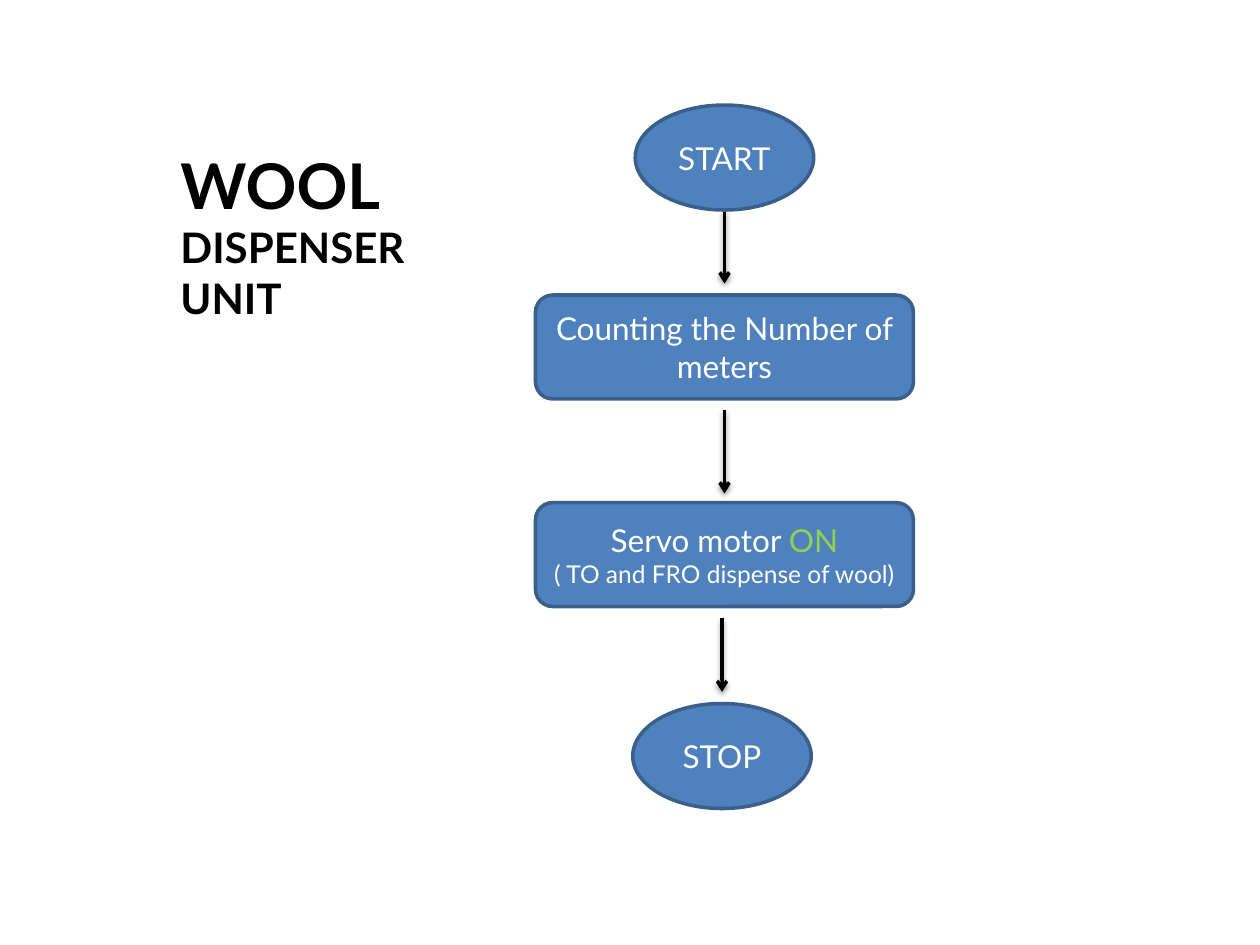
from dataclasses import dataclass

from lxml.etree import SubElement
from pptx import Presentation
from pptx.dml.color import RGBColor
from pptx.enum.shapes import MSO_CONNECTOR, MSO_SHAPE
from pptx.enum.text import MSO_ANCHOR, MSO_AUTO_SIZE, PP_ALIGN
from pptx.oxml.ns import qn
from pptx.slide import Slide
from pptx.text.text import TextFrame
from pptx.util import Pt


@dataclass(frozen=True)
class Theme:
    font: str = "Lato"
    fill: str = "4F81BD"
    outline: str = "3A5F8C"
    light: str = "FFFFFF"
    dark: str = "000000"
    accent: str = "92D050"
    title: float = 36
    subtitle: float = 24
    body: float = 18
    detail: float = 14
    line: float = 2


THEME = Theme()


@dataclass(frozen=True)
class Span:
    text: str
    size: float = THEME.body
    color: str = THEME.light
    bold: bool = False


Lines = list[list[Span]]


@dataclass(frozen=True)
class Step:
    kind: MSO_SHAPE
    center: float
    top: float
    width: float
    height: float
    lines: Lines


@dataclass(frozen=True)
class Arrow:
    center: float
    top: float
    bottom: float


def write_lines(frame: TextFrame, lines: Lines, alignment: PP_ALIGN) -> None:
    frame.word_wrap = True
    for index, spans in enumerate(lines):
        para = frame.add_paragraph() if index else frame.paragraphs[0]
        para.alignment = alignment
        for span in spans:
            run = para.add_run()
            run.text = span.text
            run.font.name = THEME.font
            run.font.size = Pt(span.size)
            run.font.bold = span.bold
            run.font.color.rgb = RGBColor.from_string(span.color)


def draw_step(page: Slide, step: Step) -> None:
    box = page.shapes.add_shape(
        step.kind, Pt(step.center - step.width / 2), Pt(step.top),
        Pt(step.width), Pt(step.height),
    )
    box.shadow.inherit = False
    box.fill.solid()
    box.fill.fore_color.rgb = RGBColor.from_string(THEME.fill)
    box.line.color.rgb = RGBColor.from_string(THEME.outline)
    box.line.width = Pt(THEME.line)
    box.text_frame.vertical_anchor = MSO_ANCHOR.MIDDLE
    write_lines(box.text_frame, step.lines, PP_ALIGN.CENTER)


def draw_arrow(page: Slide, arrow: Arrow) -> None:
    connector = page.shapes.add_connector(
        MSO_CONNECTOR.STRAIGHT, Pt(arrow.center), Pt(arrow.top),
        Pt(arrow.center), Pt(arrow.bottom),
    )
    connector.line.color.rgb = RGBColor.from_string(THEME.dark)
    connector.line.width = Pt(THEME.line)
    SubElement(connector.line._get_or_add_ln(), qn("a:tailEnd"), type="arrow")
    effects = SubElement(connector._element.spPr, qn("a:effectLst"))
    shadow = SubElement(
        effects, qn("a:outerShdw"), blurRad=str(Pt(3.1)), dist=str(Pt(1.6)),
        dir=str(90 * 60000), rotWithShape="0",
    )
    color = SubElement(shadow, qn("a:srgbClr"), val=THEME.dark)
    SubElement(color, qn("a:alpha"), val="38000")


def draw_title(page: Slide) -> None:
    box = page.shapes.add_textbox(Pt(96), Pt(80), Pt(203), Pt(80))
    box.text_frame.auto_size = MSO_AUTO_SIZE.SHAPE_TO_FIT_TEXT
    lines = [
        [Span("WOOL", THEME.title, THEME.dark, True)],
        [Span("DISPENSER UNIT", THEME.subtitle, THEME.dark, True)],
    ]
    write_lines(box.text_frame, lines, PP_ALIGN.LEFT)


AXIS = 414
STOP_AXIS = 412.6
OVAL = (102, 60)
BLOCK = (216, 59.4)

STEPS = [
    Step(MSO_SHAPE.OVAL, AXIS, 60, *OVAL, [[Span("START")]]),
    Step(MSO_SHAPE.ROUNDED_RECTANGLE, AXIS, 168.6, *BLOCK,
         [[Span("Counting the Number of meters")]]),
    Step(MSO_SHAPE.ROUNDED_RECTANGLE, AXIS, 287.2, *BLOCK, [
        [Span("Servo motor "), Span("ON", color=THEME.accent)],
        [Span("( TO and FRO dispense of wool)", THEME.detail)],
    ]),
    Step(MSO_SHAPE.OVAL, STOP_AXIS, 402, *OVAL, [[Span("STOP")]]),
]

ARROWS = [
    Arrow(AXIS, 120, 162),
    Arrow(AXIS, 234, 282),
    Arrow(STOP_AXIS, 353.4, 395.4),
]

deck = Presentation()
deck.slide_width, deck.slide_height = Pt(720), Pt(540)
page = deck.slides.add_slide(deck.slide_layouts[6])
draw_title(page)
for arrow in ARROWS:
    draw_arrow(page, arrow)
for step in STEPS:
    draw_step(page, step)
deck.save("out.pptx")
